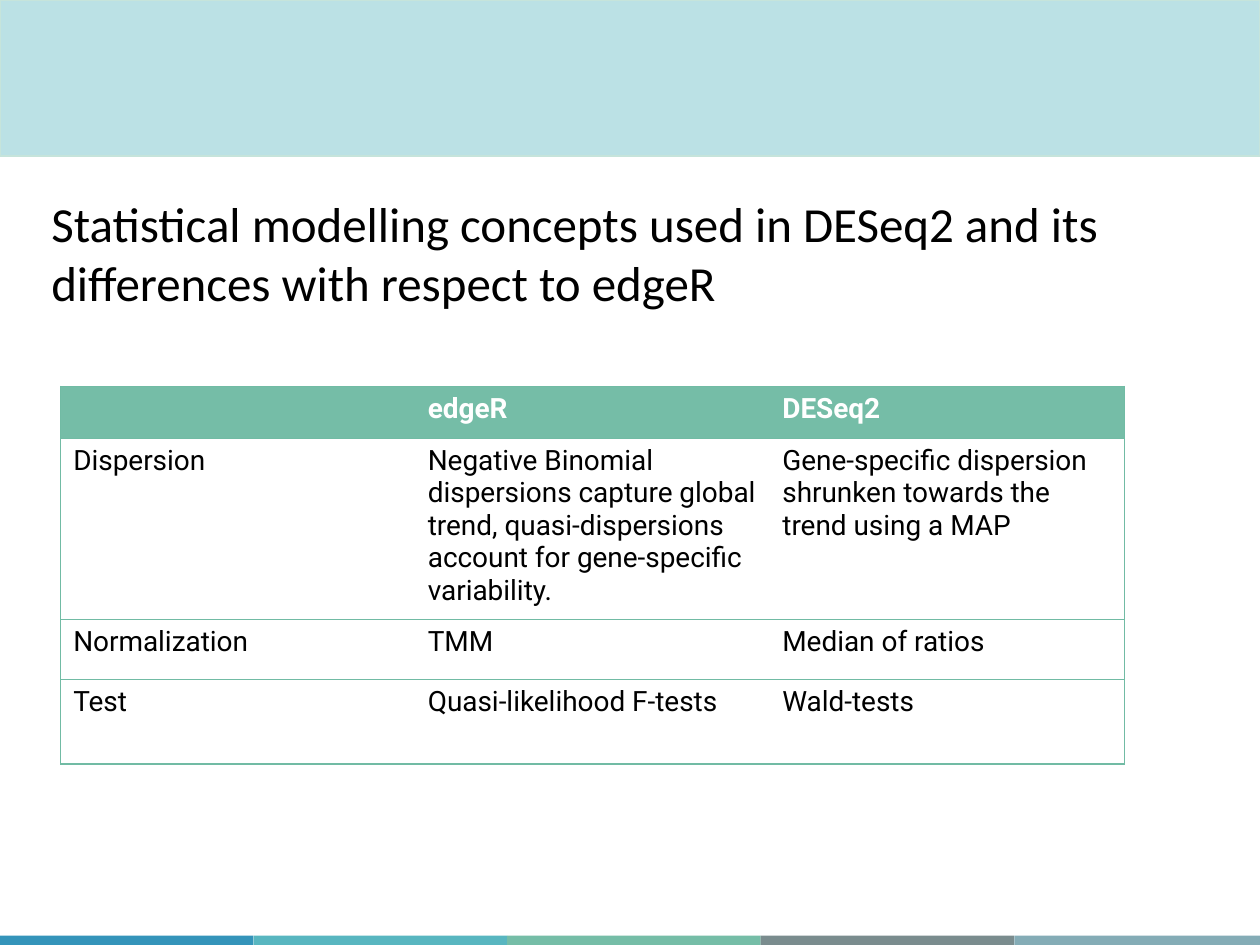
from lxml.etree import SubElement
from pptx import Presentation
from pptx.dml.color import RGBColor
from pptx.enum.shapes import MSO_SHAPE as Shape
from pptx.enum.text import MSO_ANCHOR as Anchor, MSO_AUTO_SIZE as AutoSize, PP_ALIGN as Align
from pptx.oxml.ns import qn
from pptx.util import Pt


def color(value):
    return RGBColor.from_string(value)


def write(frame, text, font="Roboto", size=16, ink="000000", bold=False):
    para = frame.paragraphs[0]
    para.alignment = Align.LEFT
    span = para.add_run()
    span.text = text
    span.font.name = font
    span.font.size = Pt(size)
    span.font.bold = bold
    span.font.color.rgb = color(ink)


deck = Presentation()
deck.slide_width, deck.slide_height = Pt(720), Pt(540)
page = deck.slides.add_slide(deck.slide_layouts[5])

bands = [(0, 0, 720, 89.3, "BBE1E5", "C6E4DB")]
for index, fill in enumerate(["3494BA", "58B6C0", "75BDA7", "7A8C8E", "84ACB6"]):
    width = 144.9 if index < 4 else 140.4
    bands.append((index * 144.9, 534.7, width, 5.3, fill, None))
for left, top, width, height, fill, line in bands:
    band = page.shapes.add_shape(Shape.RECTANGLE, Pt(left), Pt(top), Pt(width), Pt(height))
    band.shadow.inherit = False
    band.fill.solid()
    band.fill.fore_color.rgb = color(fill)
    if line:
        band.line.color.rgb = color(line)
        band.line.width = Pt(1)
    else:
        band.line.fill.background()

title = page.shapes.title
title.left, title.top, title.width, title.height = Pt(22.1), Pt(103.2), Pt(662), Pt(82)
frame = title.text_frame
frame.word_wrap = True
frame.auto_size = AutoSize.NONE
frame.vertical_anchor = Anchor.TOP
frame.margin_left = frame.margin_right = frame.margin_top = frame.margin_bottom = Pt(7.2)
write(frame, "Statistical modelling concepts used in DESeq2 and its differences with respect to edgeR",
      font="Calibri", size=28)

rows = [
    ["", "edgeR", "DESeq2"],
    ["Dispersion",
     "Negative Binomial dispersions capture global trend, quasi-dispersions account for gene-specific variability.",
     "Gene-specific dispersion shrunken towards the trend using a MAP"],
    ["Normalization", "TMM", "Median of ratios"],
    ["Test", "Quasi-likelihood F-tests", "Wald-tests"],
]
heights = [29.6, 103.4, 34.4, 48.4]
table = page.shapes.add_table(4, 3, Pt(34.7), Pt(220.8), Pt(607.8), Pt(sum(heights))).table
table.first_row = table.horz_banding = False
for column in table.columns:
    column.width = Pt(202.6)

for row_index, (texts, height) in enumerate(zip(rows, heights)):
    table.rows[row_index].height = Pt(height)
    header = row_index == 0
    for column_index, text in enumerate(texts):
        cell = table.cell(row_index, column_index)
        properties = cell._tc.get_or_add_tcPr()
        edges = {"a:lnL": column_index == 0, "a:lnR": column_index == 2, "a:lnT": True, "a:lnB": True}
        for tag, visible in edges.items():
            edge = SubElement(properties, qn(tag), w=str(Pt(0.75)))
            if visible:
                SubElement(SubElement(edge, qn("a:solidFill")), qn("a:srgbClr"), val="71BBA4")
            else:
                SubElement(edge, qn("a:noFill"))
        if header:
            cell.fill.solid()
            cell.fill.fore_color.rgb = color("75BDA7")
        else:
            cell.fill.background()
        if text:
            write(cell.text_frame, text, ink="FFFFFF" if header else "000000", bold=header)

deck.save("out.pptx")
